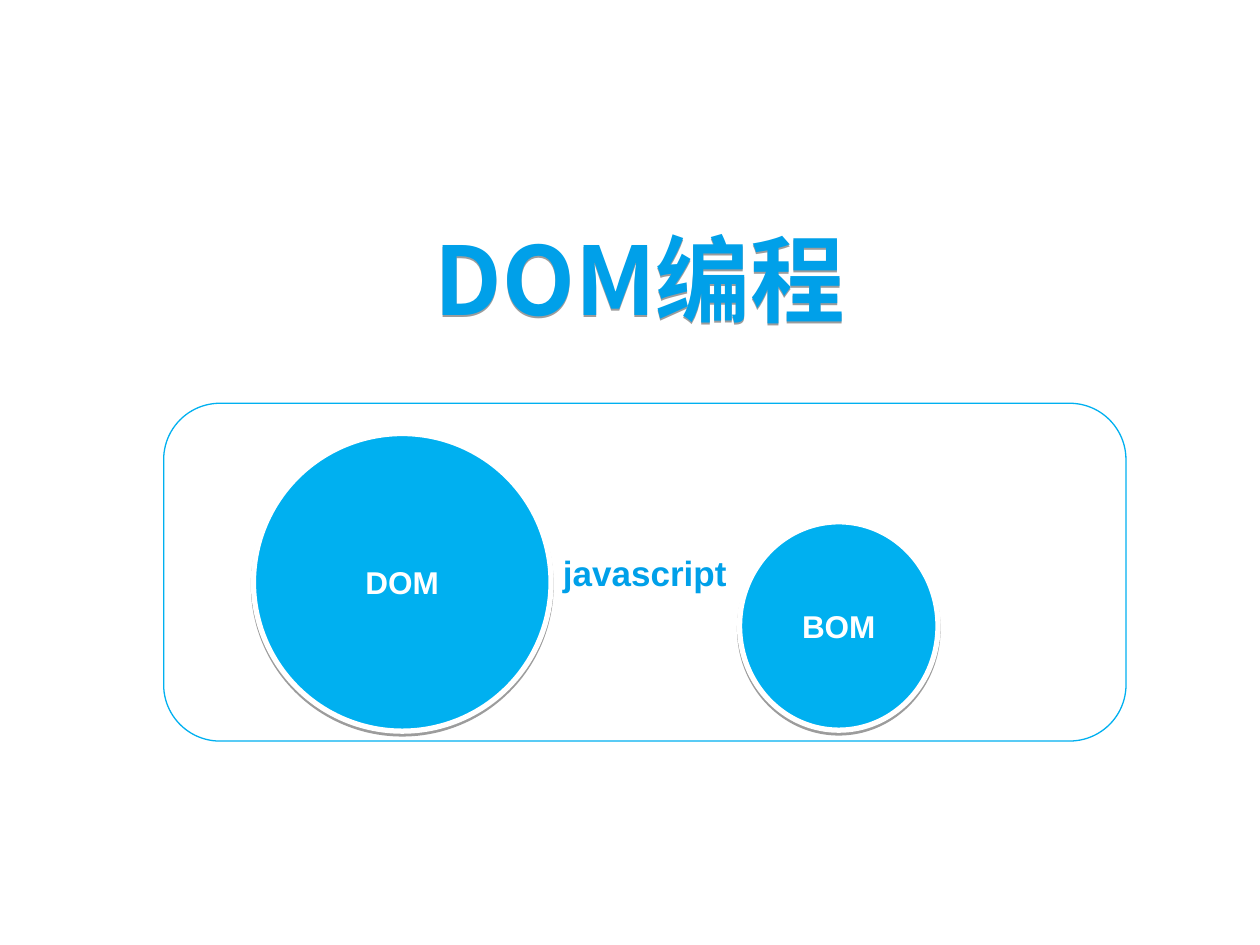
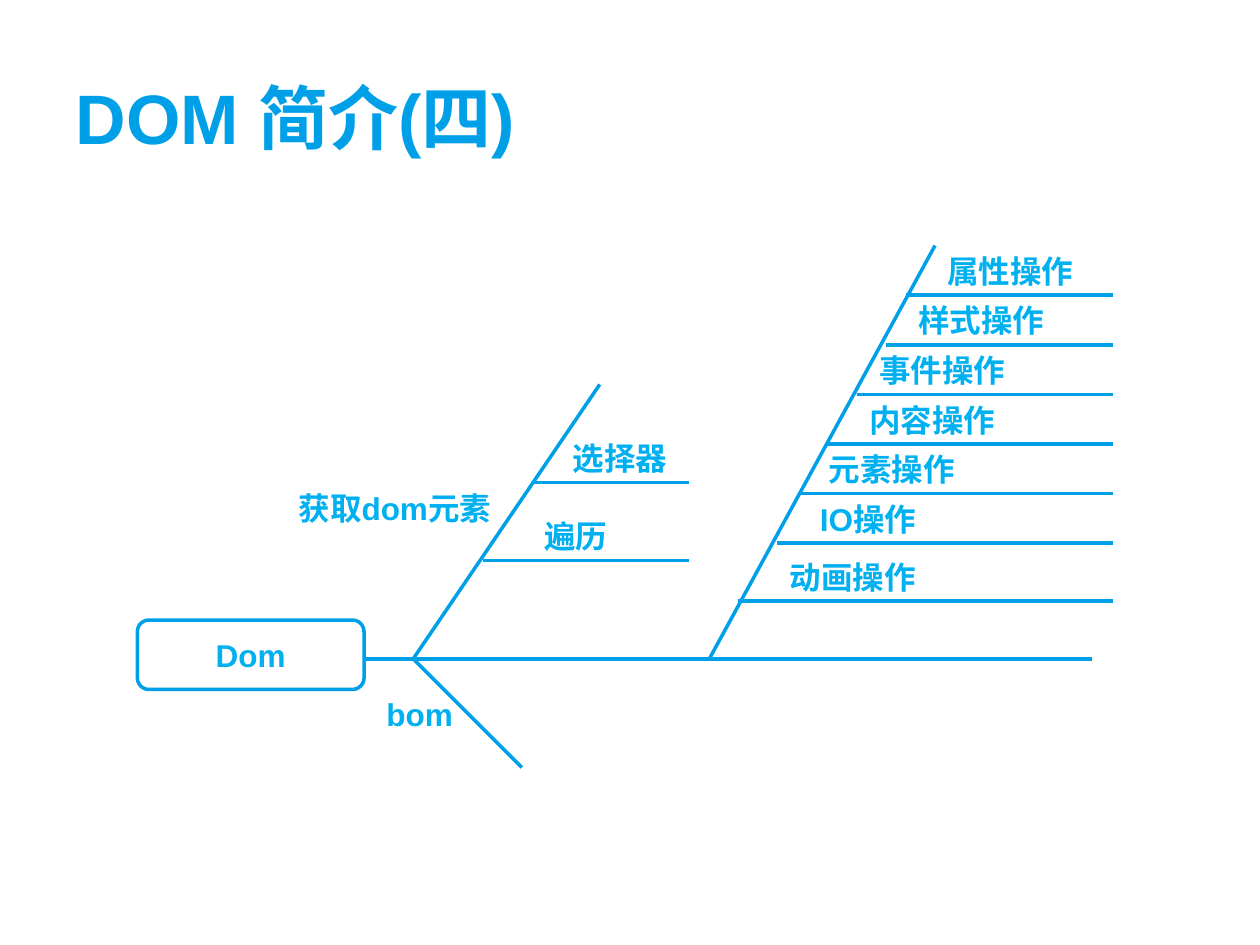
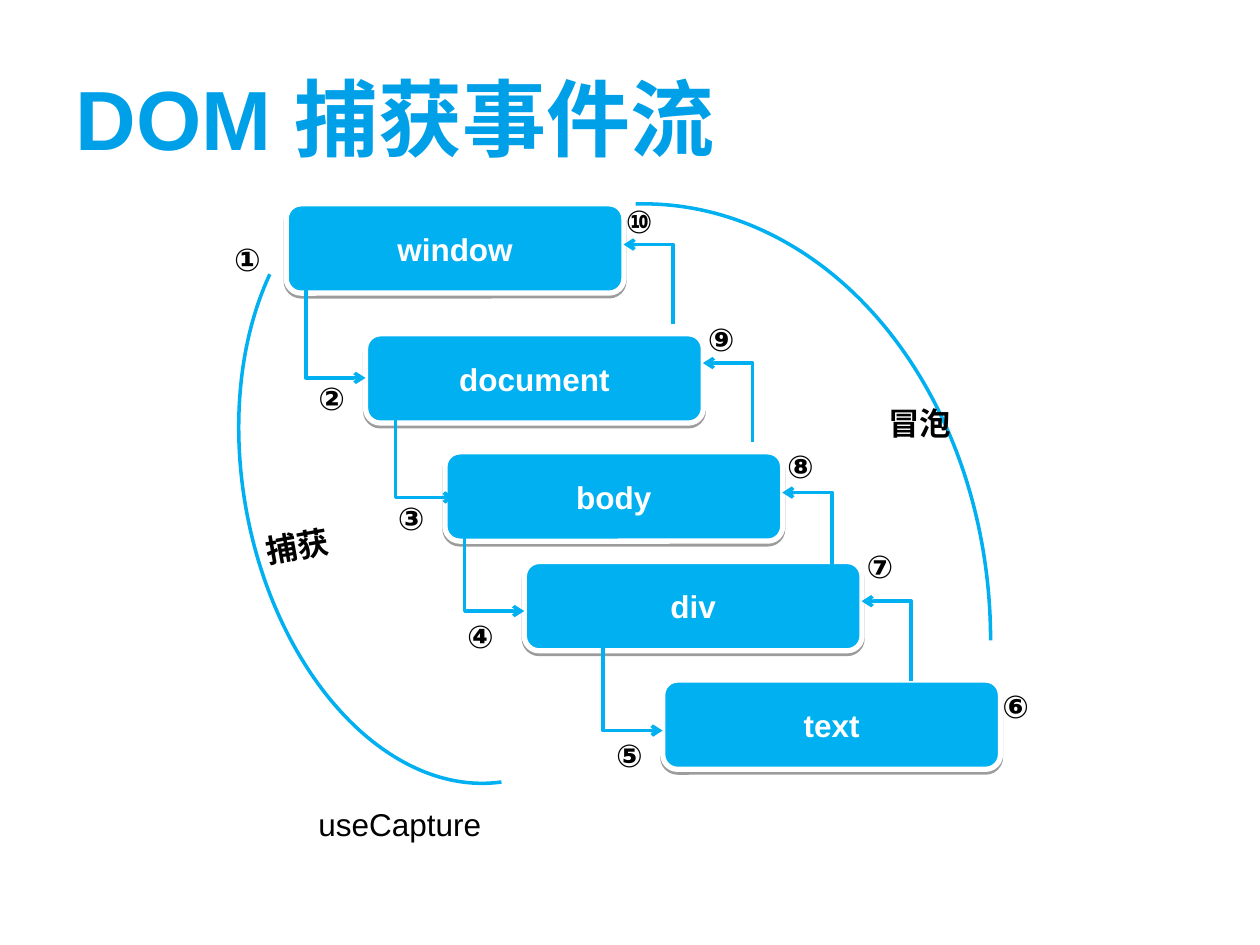
from pptx import Presentation
from pptx.dml.color import RGBColor
from pptx.enum.shapes import MSO_CONNECTOR as Link, MSO_SHAPE as Form
from pptx.enum.text import MSO_ANCHOR as Anchor, MSO_AUTO_SIZE as Fit, PP_ALIGN as Align
from pptx.oxml import parse_xml
from pptx.oxml.ns import nsdecls, qn
from pptx.oxml.xmlchemy import OxmlElement as Node
from pptx.util import Cm, Pt

BLUE, SKY, WHITE, BLACK = "00A0E9", "00B0F0", "FFFFFF", "000000"
LATIN, HAN = "Arial", "Noto Sans CJK SC"
HEAD = (1.27, 0.76, 22.86, 3.18)


def color(code):
    return RGBColor.from_string(code)


# Shared text and shape helpers
def write(shape, text, size=18, ink=SKY, bold=True, align=Align.LEFT,
          anchor=Anchor.TOP, face=LATIN):
    frame = shape.text_frame
    frame.text = text
    frame.word_wrap = True
    frame.auto_size = Fit.NONE
    frame.vertical_anchor = anchor
    par = frame.paragraphs[0]
    par.alignment = align
    for run in par.runs:
        font = run.font
        font.size, font.bold, font.name = Pt(size), bold, face
        font.color.rgb = color(ink)
        east = Node("a:ea")
        east.set("typeface", HAN)
        run._r.rPr.find(qn("a:latin")).addnext(east)


def label(slide, x, y, text, wide=4, high=1, **style):
    box = slide.shapes.add_textbox(Cm(x), Cm(y), Cm(wide), Cm(high))
    write(box, text, **style)
    return box


def shade(shape):
    shape._element.spPr.append(parse_xml(
        f'<a:effectLst {nsdecls("a")}><a:outerShdw dist="20000" dir="5400000" rotWithShape="0">'
        '<a:srgbClr val="000000"><a:alpha val="38000"/></a:srgbClr>'
        '</a:outerShdw></a:effectLst>'))


def block(slide, form, box, text="", fill=None, line=SKY, width=2, **style):
    shape = slide.shapes.add_shape(form, *map(Cm, box))
    if fill:
        shape.fill.solid()
        shape.fill.fore_color.rgb = color(fill)
    else:
        shape.fill.background()
    shape.line.color.rgb = color(line)
    shape.line.width = Pt(width)
    shape.shadow.inherit = False
    if text:
        write(shape, text, align=Align.CENTER, anchor=Anchor.MIDDLE, **style)
    return shape


def solid(slide, form, box, text):
    shape = block(slide, form, box, text, SKY, WHITE, 3, ink=WHITE)
    shape._element.spPr.remove(shape._element.spPr.find(qn("a:effectLst")))
    shade(shape)


def join(slide, x1, y1, x2, y2, kind=Link.STRAIGHT, ink=BLUE):
    line = slide.shapes.add_connector(kind, Cm(x1), Cm(y1), Cm(x2), Cm(y2))
    line.line.color.rgb = color(ink)
    line.line.width = Pt(2)
    line._element.spPr.append(Node("a:effectLst"))
    return line


def elbow(slide, x, y, dx, dy):
    """Arrow with its tip at x, y; the bend lies level with the tip."""
    line = join(slide, x, y, x + dx, y + dy, Link.ELBOW, SKY)
    geom = line._element.spPr.find(qn("a:prstGeom"))
    guide = Node("a:gd")
    guide.set("name", "adj1")
    guide.set("fmla", "val 100000")
    geom.find(qn("a:avLst")).append(guide)
    tip = Node("a:headEnd")
    tip.set("type", "arrow")
    line.line._get_or_add_ln().append(tip)


def arc(slide, box, start, end, turn=0):
    shape = block(slide, Form.ARC, box)
    shape.adjustments[0] = start * 0.6
    shape.adjustments[1] = end * 0.6
    shape.rotation = turn


def page(deck, text, size, box=HEAD, **style):
    slide = deck.slides.add_slide(deck.slide_layouts[5])
    title = slide.shapes.title
    title.left, title.top, title.width, title.height = map(Cm, box)
    write(title, text, size, BLUE, anchor=Anchor.MIDDLE, **style)
    return slide


# Cover: panel with two circles
def cover(slide, x, y, wide, high):
    block(slide, Form.ROUNDED_RECTANGLE, (x, y, wide, high), "javascript",
          width=0.75, size=20, ink=BLUE)
    solid(slide, Form.OVAL, (x + 1.81, y + 0.61, 6, 6), "DOM")
    solid(slide, Form.OVAL, (x + 11.61, y + 2.39, 4, 4.2), "BOM")


# Fishbone map: twigs are (line start, line height, label start, text)
FIND = [(7.95, 4.78, 8.53, "选择器"), (6.96, 6.35, 7.95, "遍历")]
WORK = [
    (15.49, 1, 16.08, "属性操作"), (15.09, 2, 15.49, "样式操作"),
    (14.5, 3, 14.71, "事件操作"), (13.89, 4, 14.5, "内容操作"),
    (13.31, 5, 13.69, "元素操作"), (12.9, 6, 13.51, "IO操作"),
    (12.11, 7.17, 12.9, "动画操作"),
]


def bones(slide, x, y):
    axis = y + 8.33
    block(slide, Form.ROUNDED_RECTANGLE, (x, y + 7.55, 4.57, 1.4), "Dom", line=BLUE)
    join(slide, x + 4.57, axis, x + 19.25, axis)
    for foot, tip, top in [(5.56, 9.32, 2.8), (5.56, 7.75, 10.52), (11.53, 16.08, 0)]:
        join(slide, x + foot, axis, x + tip, y + top)
    label(slide, x + 3, y + 4.78, "获取dom元素", 4.95)
    label(slide, x + 4.77, y + 8.94, "bom")
    for twigs, end in [(FIND, 11.12), (WORK, 19.66)]:
        for start, level, left, text in twigs:
            join(slide, x + start, y + level, x + end, y + level)
            label(slide, x + left, y + level - 1, text)


# Event flow: a staircase of nodes, arrows down and back up
NODES = [(0, 0, "window"), (1.6, 2.62, "document"), (3.2, 5, "body"),
         (4.8, 7.21, "div"), (7.59, 9.6, "text")]
DOWN = [(1.6, 3.51), (3.4, 5.92), (4.8, 8.21), (7.59, 10.62)]
BACK = [(6.8, 0.82), (8.4, 3.21), (10, 5.82), (11.6, 8.01)]
STEPS = [(-1.3, 0.61, "①"), (0.4, 3.41, "②"), (2, 5.82, "③"), (3.4, 8.21, "④"),
         (6.4, 10.6, "⑤"), (14.19, 9.61, "⑥"), (11.45, 6.79, "⑦"),
         (9.85, 4.78, "⑧"), (8.25, 2.21, "⑨"), (6.6, -0.17, "⑩")]


def flow(slide, x, y):
    label(slide, x + 0.4, y + 11.99, "useCapture", 10.4, ink=BLACK, bold=False)
    for dx, dy, text in NODES:
        solid(slide, Form.ROUNDED_RECTANGLE, (x + dx, y + dy, 6.81, 1.8), text)
    for tips, bend in [(DOWN, (-1.2, -1.9)), (BACK, (1, 1.6))]:
        for dx, dy in tips:
            elbow(slide, x + dx, y + dy, *bend)
    arc(slide, (x - 0.87, y - 0.88, 8.38, 12.62), 91.1, 238.1, 349.6)
    arc(slide, (x + 0.2, y, 14, 17.6), 269, 0)
    for dx, dy, text, turn in [(-0.78, 6.39, "捕获", 349.6), (11.77, 3.92, "冒泡", 0)]:
        word = label(slide, x + dx, y + dy, text, 2, ink=BLACK,
                     align=Align.CENTER, anchor=Anchor.MIDDLE)
        word.rotation = turn
    for dx, dy, text in STEPS:
        label(slide, x + dx, y + dy, text, 1.15, ink=BLACK)


def main():
    deck = Presentation()
    deck.slide_width, deck.slide_height = Cm(25.4), Cm(19.05)
    first = page(deck, "DOM编程", 54, (1.9, 3.53, 22, 4.12),
                 align=Align.CENTER, face=HAN)
    shade(first.shapes.title)
    cover(first, 3.3, 8.13, 19.4, 6.81)
    bones(page(deck, "DOM 简介(四)", 40), 2.77, 4.95)
    flow(page(deck, "DOM 捕获事件流", 48), 5.77, 4.11)
    deck.save("out.pptx")


if __name__ == "__main__":
    main()
